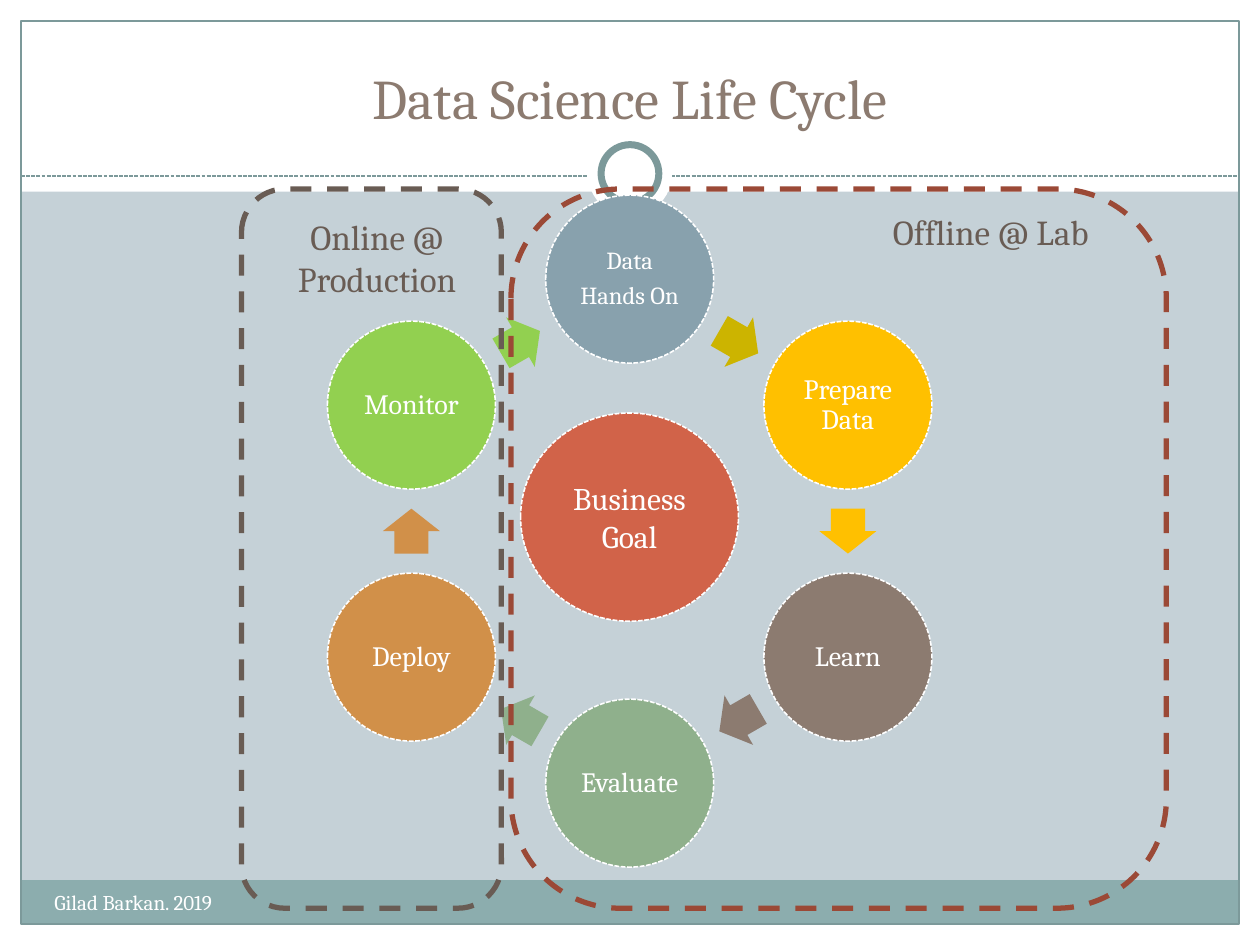
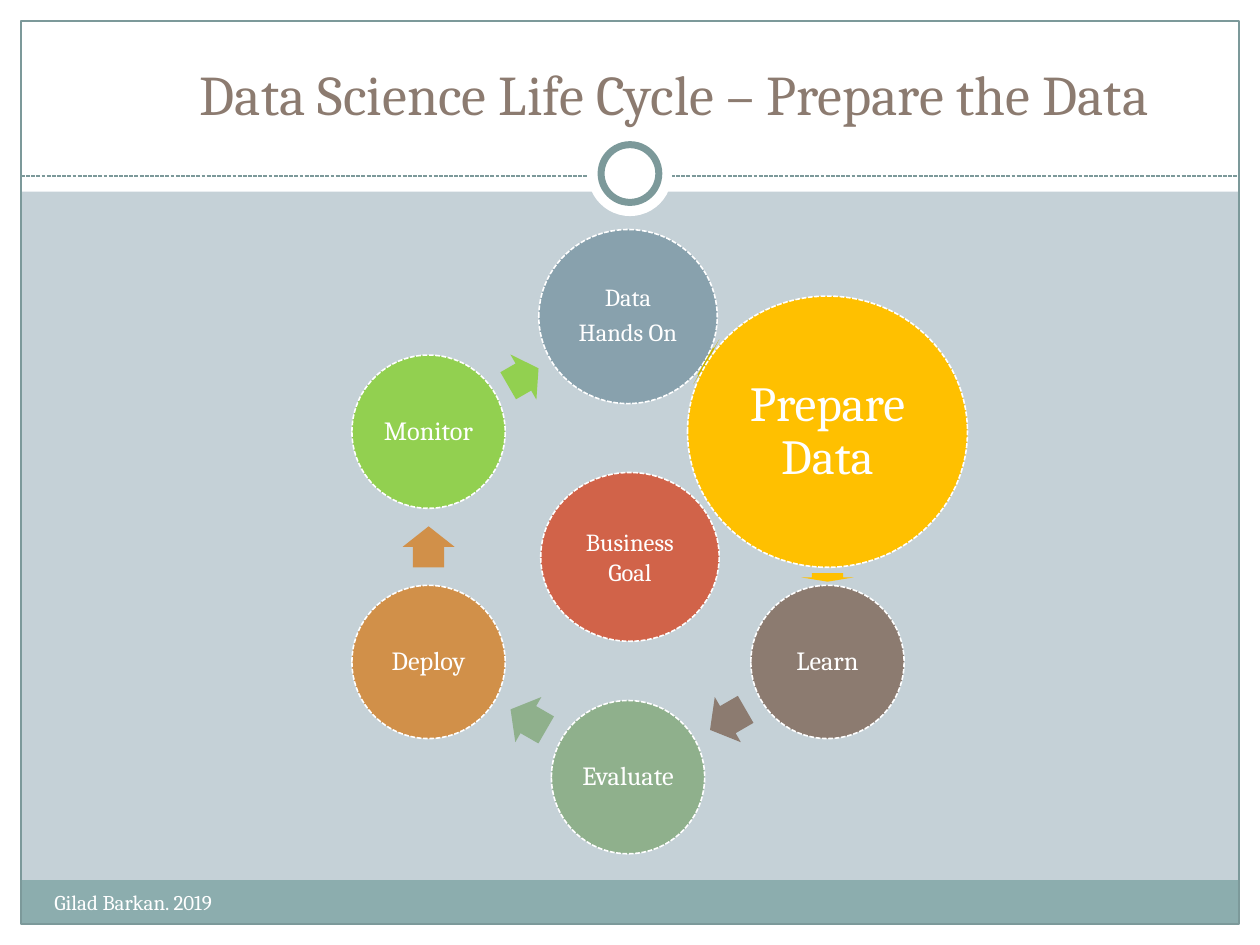
from math import atan2, cos, degrees, hypot, radians, sin

from lxml.etree import SubElement
from pptx import Presentation
from pptx.dml.color import RGBColor
from pptx.enum.dml import MSO_LINE_DASH_STYLE as Dash
from pptx.enum.shapes import MSO_CONNECTOR, MSO_SHAPE as Shape
from pptx.enum.text import MSO_ANCHOR as Anchor, PP_ALIGN as Align
from pptx.oxml.ns import qn
from pptx.util import Pt

FONT = "Cambria"
WHITE = RGBColor(0xFF, 0xFF, 0xFF)
BACKDROP = RGBColor(0xC5, 0xD1, 0xD7)
BAND = RGBColor(0x8C, 0xAD, 0xAE)
FRAME = RGBColor(0x7C, 0x99, 0x9A)
TAUPE = RGBColor(0x8C, 0x7B, 0x70)
DARK_TAUPE = RGBColor(0x69, 0x5C, 0x54)
RUST = RGBColor(0x9B, 0x49, 0x36)
RED = RGBColor(0xD1, 0x63, 0x49)
STEEL = RGBColor(0x88, 0xA1, 0xAD)
OLIVE = RGBColor(0xCC, 0xB4, 0x00)
AMBER = RGBColor(0xFF, 0xC0, 0x00)
SAGE = RGBColor(0x8F, 0xB0, 0x8C)
ORANGE = RGBColor(0xD1, 0x90, 0x49)
LIME = RGBColor(0x92, 0xD0, 0x50)

FOOTER = "Gilad Barkan. 2019"
GOAL = "Business Goal"
# Clockwise from the top: paragraphs, circle colour, colour of the arrow that leaves it
STAGES = [
    (["Data", "Hands On"], STEEL, OLIVE),
    (["Prepare Data"], AMBER, AMBER),
    (["Learn"], TAUPE, TAUPE),
    (["Evaluate"], SAGE, SAGE),
    (["Deploy"], ORANGE, ORANGE),
    (["Monitor"], LIME, LIME),
]

# "special" maps a stage number to its own (width, height, font size)
SLIDES = [
    {
        "title": "Data Science Life Cycle", "title_at": (24, 18),
        "center": (359.8, 303.5), "radius": 144, "stage": (96, 96, 16),
        "special": {0: (96, 96, 14)},
        "goal_at": (297.5, 236, 124.5, 119), "goal_size": 18,
        "zones": [
            ((292, 108, 374.5, 411), RUST, "Offline @ Lab", (496, 116.5, 140.5, 32)),
            ((138, 108, 148.5, 411), DARK_TAUPE, "Online @ Production", (139, 119.5, 153, 55.5)),
        ],
    },
    {
        "title": "Data Science Life Cycle – Prepare the Data", "title_at": (49.5, 16),
        "center": (358.9, 312.5), "radius": 131.6, "stage": (87.6, 87.6, 15),
        "special": {0: (102, 99.5, 14), 1: (160, 155, 28)},
        "goal_at": (309, 270, 102, 96.5), "goal_size": 14,
        "zones": [],
    },
]


def add_shape(slide, kind, box, fill=None, line=None, width=0.75, dash=None):
    shape = slide.shapes.add_shape(kind, *map(Pt, box))
    shape.shadow.inherit = False
    if fill is None:
        shape.fill.background()
    else:
        shape.fill.solid()
        shape.fill.fore_color.rgb = fill
    if line is None:
        shape.line.fill.background()
    else:
        shape.line.color.rgb = line
        shape.line.width = Pt(width)
        if dash:
            shape.line.dash_style = dash
    return shape


def add_circle(slide, box, fill):
    return add_shape(slide, Shape.OVAL, box, fill, WHITE, 0.9, Dash.SQUARE_DOT)


def write(shape, texts, size, color, align=Align.CENTER, anchor=Anchor.MIDDLE):
    frame = shape.text_frame
    frame.word_wrap = True
    frame.vertical_anchor = anchor
    frame.text = "\n".join(texts)
    for paragraph in frame.paragraphs:
        paragraph.alignment = align
        paragraph.font.name = FONT
        paragraph.font.size = Pt(size)
        paragraph.font.color.rgb = color
    return frame


def add_label(slide, text, box, size, color, align=Align.CENTER, anchor=Anchor.TOP):
    write(slide.shapes.add_textbox(*map(Pt, box)), [text], size, color, align, anchor)


def add_theme(slide):
    """Draw the white margins, footer band, frame, dashed rule and ring."""
    slide.background.fill.solid()
    slide.background.fill.fore_color.rgb = BACKDROP
    for margin in [(0, 528, 720, 12), (0, 0, 720, 109.5), (0, 0, 12, 540), (708, 0, 12, 540)]:
        add_shape(slide, Shape.RECTANGLE, margin, WHITE)
    add_shape(slide, Shape.RECTANGLE, (12, 503, 695.5, 24.5), BAND)
    add_shape(slide, Shape.RECTANGLE, (12, 12, 696, 516), line=FRAME)
    rule = slide.shapes.add_connector(
        MSO_CONNECTOR.STRAIGHT, Pt(12), Pt(100.6), Pt(708), Pt(100.6))
    rule.line.color.rgb = FRAME
    rule.line.width = Pt(0.75)
    rule.line.dash_style = Dash.SQUARE_DOT
    SubElement(rule._element.spPr, qn("a:effectLst"))
    add_shape(slide, Shape.OVAL, (336, 75.5, 48, 48), WHITE)
    add_shape(slide, Shape.OVAL, (343.5, 82.7, 33, 33), WHITE, FRAME, 4)


def add_stage(slide, center, width, height, size, texts, fill):
    x, y = center
    circle = add_circle(slide, (x - width / 2, y - height / 2, width, height), fill)
    frame = write(circle, texts, size, WHITE)
    inset = Pt(size / 10)
    frame.margin_left = frame.margin_right = frame.margin_top = frame.margin_bottom = inset
    for paragraph in frame.paragraphs:
        paragraph.line_spacing = 0.9
        paragraph.space_after = Pt(0.35 * size)


def add_arrow(slide, start, end, start_radius, end_radius, thickness, fill):
    """Put a block arrow in the middle of the gap between two circles."""
    dx, dy = end[0] - start[0], end[1] - start[1]
    distance = hypot(dx, dy)
    length = 0.535 * (distance - start_radius - end_radius)
    share = (distance + start_radius - end_radius) / 2 / distance
    x, y = start[0] + share * dx, start[1] + share * dy
    arrow = add_shape(slide, Shape.RIGHT_ARROW,
                      (x - length / 2, y - thickness / 2, length, thickness), fill)
    arrow.adjustments[0], arrow.adjustments[1] = 0.6, 0.5
    arrow.rotation = round(degrees(atan2(dy, dx))) % 360


def add_cycle(slide, center, radius, stage, special):
    count = len(STAGES)
    angles = [radians(360 * i / count - 90) for i in range(count)]
    centers = [(center[0] + radius * cos(a), center[1] + radius * sin(a)) for a in angles]
    formats = [special.get(i, stage) for i in range(count)]
    radii = [(width + height) / 4 for width, height, _ in formats]
    for i, (texts, fill, arrow_fill) in enumerate(STAGES):
        after = (i + 1) % count
        add_stage(slide, centers[i], *formats[i], texts, fill)
        add_arrow(slide, centers[i], centers[after], radii[i], radii[after],
                  0.34 * stage[0], arrow_fill)


def main():
    deck = Presentation()
    deck.slide_width, deck.slide_height = Pt(720), Pt(540)
    for content in SLIDES:
        slide = deck.slides.add_slide(deck.slide_layouts[6])
        add_theme(slide)
        add_label(slide, content["title"], (*content["title_at"], 672, 60), 32, TAUPE,
                  anchor=Anchor.BOTTOM)
        add_cycle(slide, content["center"], content["radius"],
                  content["stage"], content["special"])
        for box, color, label, label_box in content["zones"]:
            add_shape(slide, Shape.ROUNDED_RECTANGLE, box, None, color, 3, Dash.DASH)
            add_label(slide, label, label_box, 20, DARK_TAUPE)
        write(add_circle(slide, content["goal_at"], RED), [GOAL], content["goal_size"], WHITE)
        add_label(slide, FOOTER, (24, 504.5, 282, 29), 12, WHITE, Align.LEFT)
    deck.save("out.pptx")


if __name__ == "__main__":
    main()
